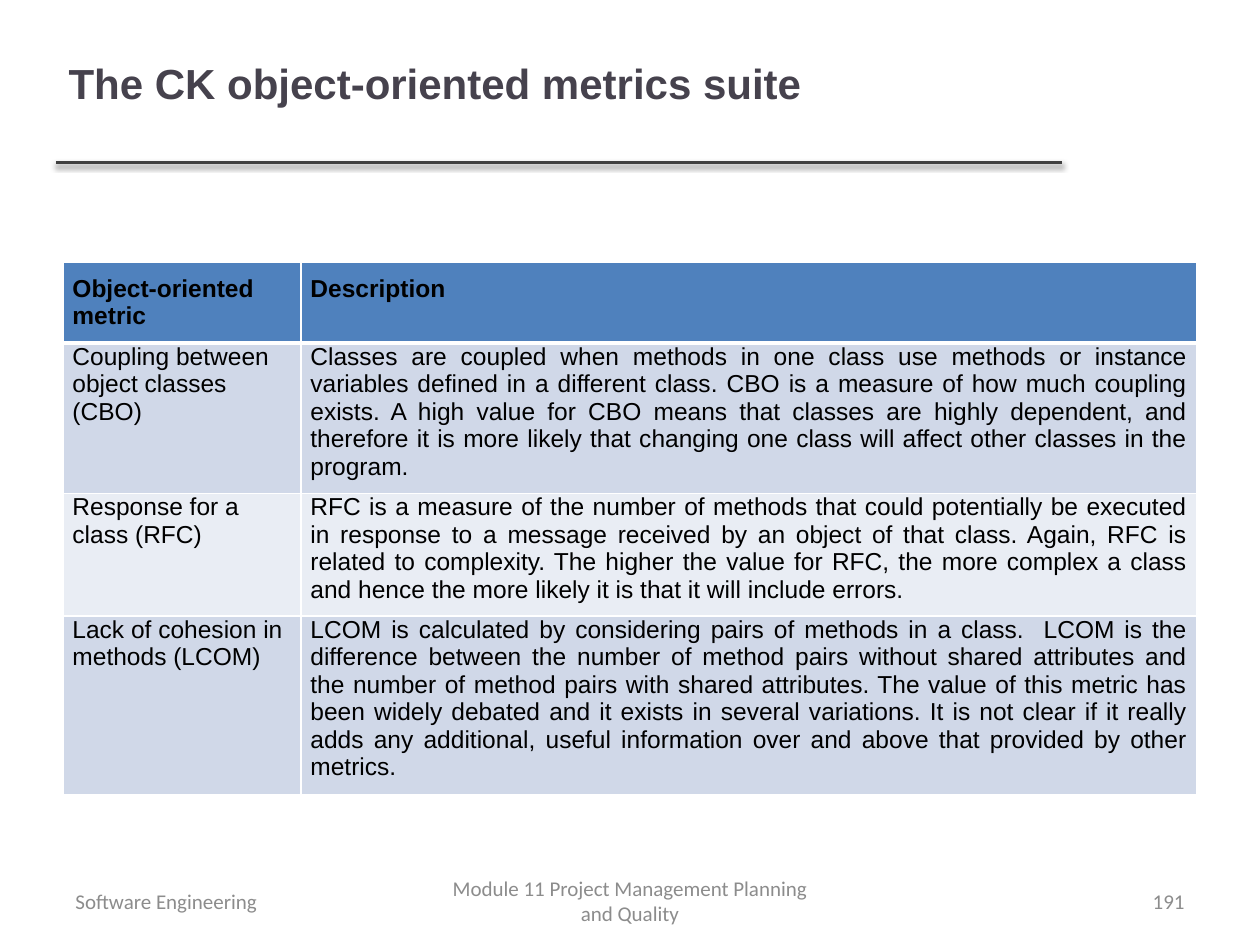
import pptx
import pptx.util
import pptx.dml.color
import pptx.enum.shapes
import pptx.enum.text
import pptx.oxml
import pptx.oxml.ns

Pt = pptx.util.Pt
RGBColor = pptx.dml.color.RGBColor
ALIGN = pptx.enum.text.PP_ALIGN
MIDDLE = pptx.enum.text.MSO_ANCHOR.MIDDLE

TITLE_COLOR = RGBColor(0x46, 0x42, 0x4D)
RULE_COLOR = RGBColor(0x40, 0x40, 0x40)
FOOTER_COLOR = RGBColor(0x8C, 0x8C, 0x8C)
BLACK = RGBColor(0x00, 0x00, 0x00)
WHITE = RGBColor(0xFF, 0xFF, 0xFF)
HEADER_FILL = RGBColor(0x4F, 0x81, 0xBD)
BAND_FILLS = [RGBColor(0xE9, 0xED, 0xF4), RGBColor(0xD0, 0xD8, 0xE8)]

METRICS = [
    ("Object-oriented metric", "Description"),
    ("Coupling between object classes (CBO)",
     "Classes are coupled when methods in one class use methods or instance variables "
     "defined in a different class. CBO is a measure of how much coupling exists. A high "
     "value for CBO means that classes are highly dependent, and therefore it is more "
     "likely that changing one class will affect other classes in the program."),
    ("Response for a class (RFC)",
     "RFC is a measure of the number of methods that could potentially be executed in "
     "response to a message received by an object of that class. Again, RFC is related to "
     "complexity. The higher the value for RFC, the more complex a class and hence the "
     "more likely it is that it will include errors."),
    ("Lack of cohesion in methods (LCOM)",
     "LCOM is calculated by considering pairs of methods in a class.  LCOM is the "
     "difference between the number of method pairs without shared attributes and the "
     "number of method pairs with shared attributes. The value of this metric has been "
     "widely debated and it exists in several variations. It is not clear if it really "
     "adds any additional, useful information over and above that provided by other "
     "metrics."),
]
COLUMN_WIDTHS = [136, 512]
ROW_HEIGHTS = [45, 86, 70, 102]


def style_paragraph(para, name, size, color, align, bold=False):
    para.alignment = align
    for span in para.runs:
        span.font.name = name
        span.font.size = Pt(size)
        span.font.bold = bold
        span.font.color.rgb = color


def add_border(cell, side, width):
    """Side is L, R, T or B; call in that order, before the cell fill is set."""
    cell._tc.get_or_add_tcPr().append(pptx.oxml.parse_xml(
        f'<a:ln{side} {pptx.oxml.ns.nsdecls("a")} w="{Pt(width)}"><a:solidFill>'
        f'<a:srgbClr val="{WHITE}"/></a:solidFill></a:ln{side}>'))


deck = pptx.Presentation()
deck.slide_width, deck.slide_height = Pt(720), Pt(540)
page = deck.slides.add_slide(deck.slide_layouts[5])

# Title and the rule below it
title = page.shapes.title
title.left, title.top, title.width, title.height = Pt(32), Pt(2), Pt(575), Pt(90)
title.text_frame.text = "The CK object-oriented metrics suite"
title.text_frame.vertical_anchor = MIDDLE
style_paragraph(title.text_frame.paragraphs[0], "Arial", 24, TITLE_COLOR, ALIGN.LEFT, True)

rule = page.shapes.add_connector(
    pptx.enum.shapes.MSO_CONNECTOR.STRAIGHT, Pt(32), Pt(93), Pt(607), Pt(93))
rule.line.color.rgb = RULE_COLOR
rule.line.width = Pt(2)
rule._element.spPr.append(pptx.oxml.parse_xml(
    f'<a:effectLst {pptx.oxml.ns.nsdecls("a")}>'
    f'<a:outerShdw blurRad="{Pt(3.1)}" dist="{Pt(1.6)}" dir="5400000" rotWithShape="0">'
    '<a:srgbClr val="000000"><a:alpha val="38000"/></a:srgbClr>'
    '</a:outerShdw></a:effectLst>'))

# Metrics table
table = page.shapes.add_table(
    len(METRICS), 2, Pt(36), Pt(150), Pt(sum(COLUMN_WIDTHS)), Pt(sum(ROW_HEIGHTS))).table
for column, width in zip(table.columns, COLUMN_WIDTHS):
    column.width = Pt(width)
for row_index, (row, texts) in enumerate(zip(table.rows, METRICS)):
    row.height = Pt(ROW_HEIGHTS[row_index])
    is_header = row_index == 0
    for column_index, (cell, text) in enumerate(zip(row.cells, texts)):
        cell.margin_left = cell.margin_right = Pt(5.4)
        cell.margin_top = Pt(7.2 if is_header else 0)
        cell.margin_bottom = Pt(7.2)
        for side in "LRTB":
            under_header = (row_index, side) in [(0, "B"), (1, "T")]
            add_border(cell, side, 3 if under_header else 1)
        cell.fill.solid()
        cell.fill.fore_color.rgb = HEADER_FILL if is_header else BAND_FILLS[row_index % 2]
        cell.text_frame.text = text
        justified = is_header or column_index == 1
        style_paragraph(cell.text_frame.paragraphs[0], "Arial", 14, BLACK,
                        ALIGN.JUSTIFY if justified else ALIGN.LEFT, is_header)

# Footer
for left, width, text, align in [
    (36, 168, "Software Engineering", ALIGN.LEFT),
    (246, 228, "Module 11 Project Management Planning and Quality", ALIGN.CENTER),
    (516, 168, "191", ALIGN.RIGHT),
]:
    box = page.shapes.add_textbox(Pt(left), Pt(500.5), Pt(width), Pt(28.75))
    box.text_frame.word_wrap = True
    box.text_frame.vertical_anchor = MIDDLE
    box.text_frame.text = text
    style_paragraph(box.text_frame.paragraphs[0], "Calibri", 12, FOOTER_COLOR, align)

deck.save("out.pptx")
